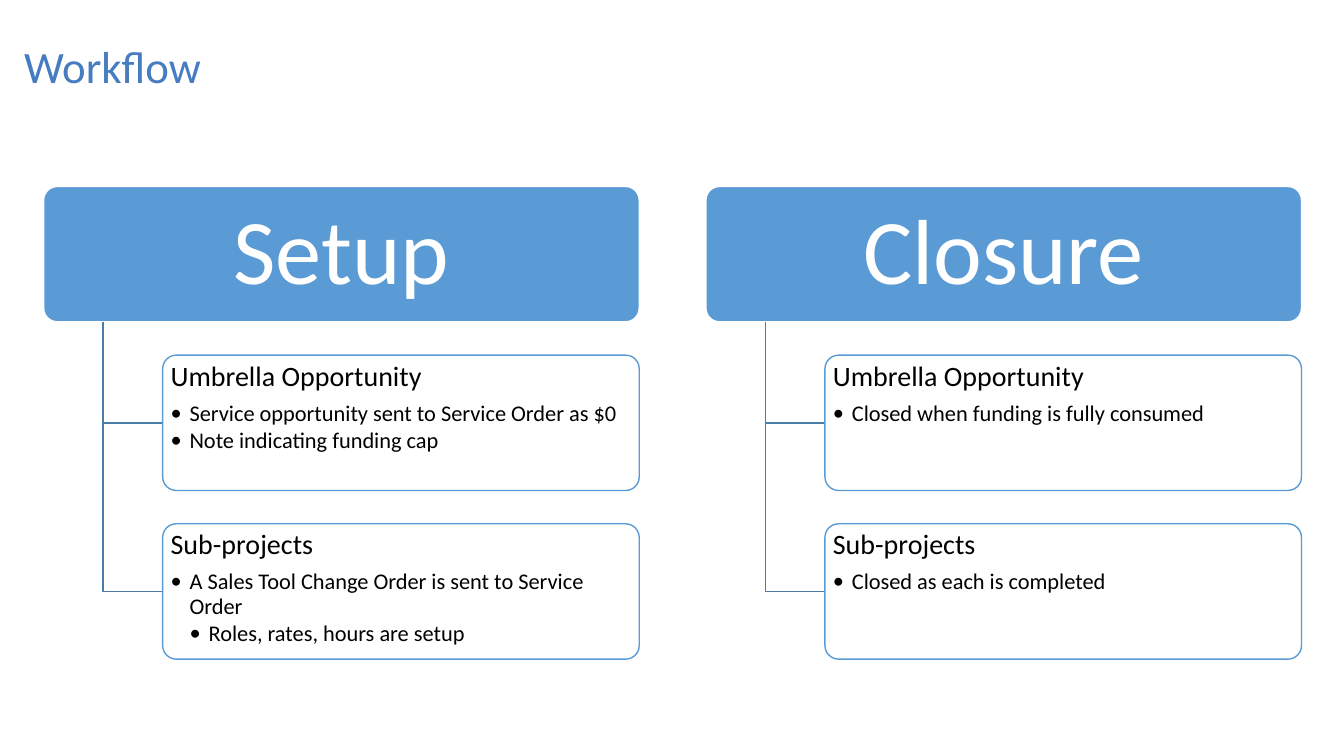
from dataclasses import dataclass

from lxml import etree
from pptx import Presentation
from pptx import util as u
from pptx.dml.color import RGBColor
from pptx.enum import shapes, text
from pptx.oxml import ns

COLORS = {
    "title": "467CC0",
    "header": "5B9BD5",
    "branch": "497CAB",
    "white": "FFFFFF",
    "black": "000000",
}
FONT = "Calibri"

# Layout in centimetres
COLUMN_LEFT, COLUMN_STEP = 1.1, 16.69
HEADER_TOP, HEADER_WIDTH = 4.7, 15.01
BOX_HEIGHT, ROW_STEP = 3.41, 4.25
BRANCH_OFFSET, CARD_OFFSET = 1.5, 3.0
CARD_WIDTH = 12.01
BULLET_INDENT = 0.48


@dataclass
class Bullet:
    words: str
    level: int = 1


@dataclass
class Card:
    heading: str
    bullets: list[Bullet]


@dataclass
class Phase:
    name: str
    cards: list[Card]


PHASES = [
    Phase("Setup", [
        Card("Umbrella Opportunity", [
            Bullet("Service opportunity sent to Service Order as $0"),
            Bullet("Note indicating funding cap"),
        ]),
        Card("Sub-projects", [
            Bullet("A Sales Tool Change Order is sent to Service Order"),
            Bullet("Roles, rates, hours are setup", level=2),
        ]),
    ]),
    Phase("Closure", [
        Card("Umbrella Opportunity", [Bullet("Closed when funding is fully consumed")]),
        Card("Sub-projects", [Bullet("Closed as each is completed")]),
    ]),
]


def color(name: str) -> RGBColor:
    return RGBColor.from_string(COLORS[name])


def style_paragraph(para, words: str, size: float, ink: str, after: float = 0) -> None:
    para.text = words
    para.line_spacing = 0.9
    para.space_after = u.Pt(after)
    para.font.name = FONT
    para.font.size = u.Pt(size)
    para.font.color.rgb = color(ink)


def set_frame(frame, anchor, side: float, edge: float) -> None:
    frame.word_wrap = True
    frame.vertical_anchor = anchor
    frame.margin_left = frame.margin_right = u.Cm(side)
    frame.margin_top = frame.margin_bottom = u.Cm(edge)


def add_title(page, words: str) -> None:
    box = page.shapes.add_textbox(u.Cm(0.36), u.Cm(0.64), u.Cm(24.64), u.Cm(2.2))
    set_frame(box.text_frame, text.MSO_ANCHOR.MIDDLE, 0.25, 0.13)
    style_paragraph(box.text_frame.paragraphs[0], words, 32, "title")


def add_rounded_box(page, left: float, top: float, width: float, fill: str, line: str):
    box = page.shapes.add_shape(
        shapes.MSO_SHAPE.ROUNDED_RECTANGLE,
        u.Cm(left), u.Cm(top), u.Cm(width), u.Cm(BOX_HEIGHT))
    box.adjustments[0] = 0.1
    box.shadow.inherit = False
    box.fill.solid()
    box.fill.fore_color.rgb = color(fill)
    box.line.color.rgb = color(line)
    box.line.width = u.Pt(1)
    return box


def add_header(page, left: float, name: str) -> None:
    box = add_rounded_box(page, left, HEADER_TOP, HEADER_WIDTH, "header", "white")
    set_frame(box.text_frame, text.MSO_ANCHOR.MIDDLE, 0.35, 0.23)
    para = box.text_frame.paragraphs[0]
    style_paragraph(para, name, 66, "white")
    para.alignment = text.PP_ALIGN.CENTER


def add_branch(page, column_left: float, card_top: float) -> None:
    trunk = u.Cm(column_left + BRANCH_OFFSET)
    middle = u.Cm(card_top + BOX_HEIGHT / 2)
    builder = page.shapes.build_freeform(trunk, u.Cm(HEADER_TOP + BOX_HEIGHT))
    builder.add_line_segments(
        [(trunk, middle), (u.Cm(column_left + CARD_OFFSET), middle)], close=False)
    branch = builder.convert_to_shape()
    branch.shadow.inherit = False
    branch.fill.background()
    branch.line.color.rgb = color("branch")
    branch.line.width = u.Pt(1)


def add_bullet(frame, bullet: Bullet) -> None:
    para = frame.add_paragraph()
    style_paragraph(para, bullet.words, 16, "black", after=2.4)
    para.alignment = text.PP_ALIGN.LEFT
    para.level = bullet.level
    properties = para._p.get_or_add_pPr()
    properties.set("marL", str(u.Cm(BULLET_INDENT * bullet.level)))
    properties.set("indent", str(u.Cm(-BULLET_INDENT)))
    etree.SubElement(properties, ns.qn("a:buFont")).set("typeface", FONT)
    etree.SubElement(properties, ns.qn("a:buChar")).set("char", "•")
    # Font defaults must follow the bullet in the paragraph properties
    properties.append(properties.find(ns.qn("a:defRPr")))


def add_card(page, left: float, top: float, card: Card) -> None:
    box = add_rounded_box(page, left, top, CARD_WIDTH, "white", "header")
    fill_color = box.fill._xPr.find(ns.qn("a:solidFill"))[0]
    etree.SubElement(fill_color, ns.qn("a:alpha")).set("val", "90000")
    frame = box.text_frame
    set_frame(frame, text.MSO_ANCHOR.TOP, 0.1, 0.07)
    heading = frame.paragraphs[0]
    style_paragraph(heading, card.heading, 20, "black", after=7)
    heading.alignment = text.PP_ALIGN.LEFT
    for bullet in card.bullets:
        add_bullet(frame, bullet)


def main() -> None:
    deck = Presentation()
    deck.slide_width, deck.slide_height = u.Cm(33.87), u.Cm(19.05)
    page = deck.slides.add_slide(deck.slide_layouts[6])
    add_title(page, "Workflow")

    # One column per phase, its cards hanging below the header
    for column, phase in enumerate(PHASES):
        left = COLUMN_LEFT + column * COLUMN_STEP
        add_header(page, left, phase.name)
        for row, card in enumerate(phase.cards, start=1):
            top = HEADER_TOP + row * ROW_STEP
            add_branch(page, left, top)
            add_card(page, left + CARD_OFFSET, top, card)

    deck.save("out.pptx")


if __name__ == "__main__":
    main()
